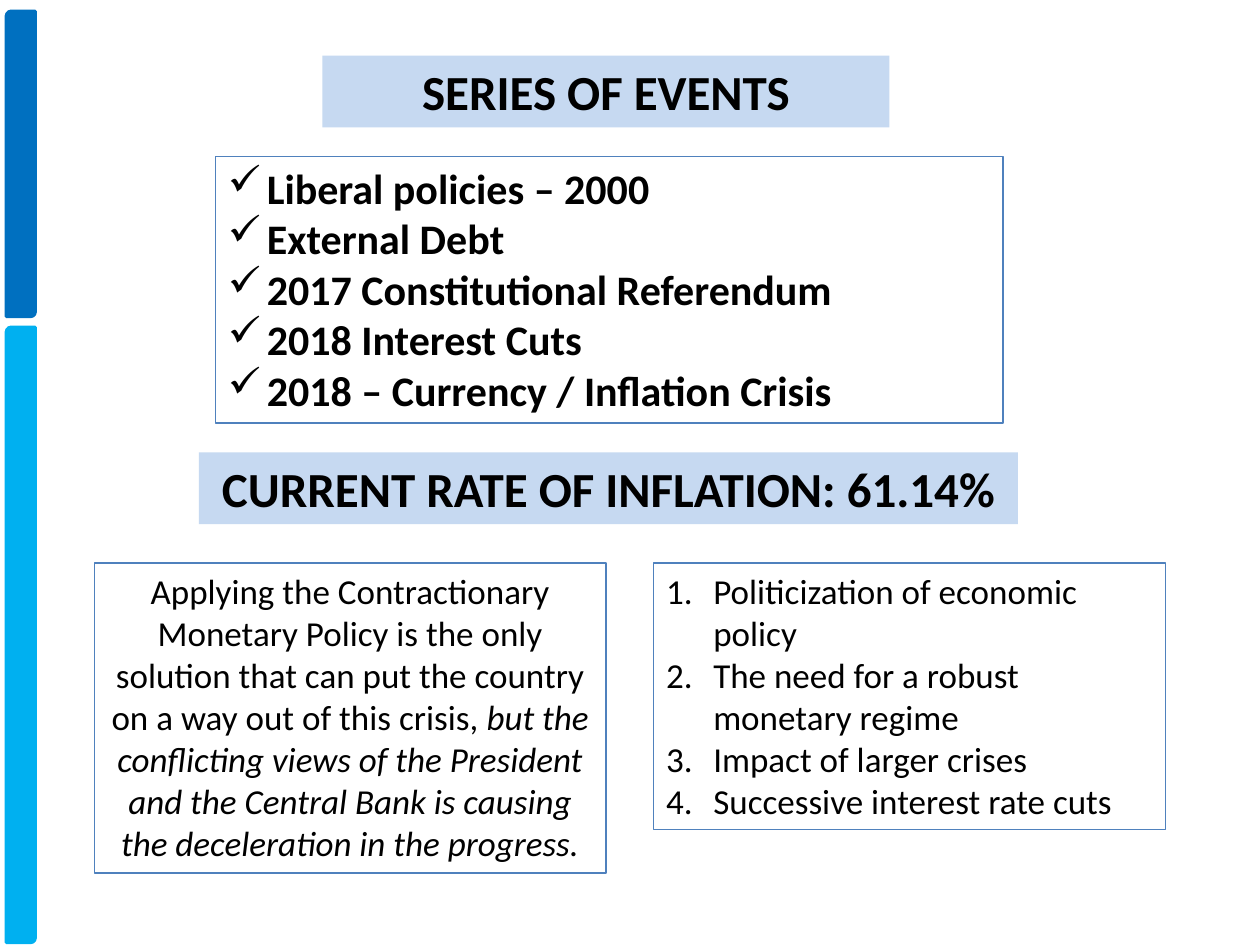
from dataclasses import dataclass
from typing import Optional

from lxml.etree import SubElement
from pptx import Presentation
from pptx.dml.color import RGBColor
from pptx.enum.shapes import MSO_SHAPE as Preset
from pptx.enum.text import MSO_ANCHOR as Anchor, MSO_AUTO_SIZE as AutoSize, PP_ALIGN as Align
from pptx.oxml.ns import qn
from pptx.util import Cm, Pt


@dataclass(frozen=True)
class Theme:
    font: str = "Calibri"
    text: RGBColor = RGBColor(0, 0, 0)
    heading_fill: RGBColor = RGBColor(0xC6, 0xD9, 0xF1)
    border: RGBColor = RGBColor(0x4F, 0x81, 0xBD)
    dark_bar: RGBColor = RGBColor(0x00, 0x70, 0xC0)
    light_bar: RGBColor = RGBColor(0x00, 0xB0, 0xF0)
    heading_size: Pt = Pt(28)
    event_size: Pt = Pt(24)
    body_size: Pt = Pt(20)
    border_width: Pt = Pt(0.75)
    bar_width: Pt = Pt(2)


@dataclass(frozen=True)
class Marker:
    tag: str
    attributes: dict[str, str]
    font: str
    indent: Cm


@dataclass(frozen=True)
class Bar:
    top: float
    height: float
    color: RGBColor


@dataclass(frozen=True)
class Panel:
    left: float
    top: float
    width: float
    height: float
    paragraphs: list[list[str]]
    size: Pt
    bold: bool = False
    filled: bool = False
    align: Align = Align.LEFT
    marker: Optional[Marker] = None


THEME = Theme()
CHECK = Marker("a:buChar", {"char": "ü"}, "Wingdings", Cm(0.79))
NUMBER = Marker("a:buAutoNum", {"type": "arabicPeriod"}, "+mj-lt", Cm(0.95))

BARS = [Bar(0.23, 6.15, THEME.dark_bar), Bar(6.6, 12.4, THEME.light_bar)]

EVENTS = [
    "Liberal policies – 2000",
    "External Debt",
    "2017 Constitutional Referendum",
    "2018 Interest Cuts",
    "2018 – Currency / Inflation Crisis",
]
LESSONS = [
    "Politicization of economic policy",
    "The need for a robust monetary regime",
    "Impact of larger crises",
    "Successive interest rate cuts",
]
SOLUTION = [
    "Applying the Contractionary Monetary Policy is the only solution that can put "
    "the country on a way out of this crisis, ",
    "but the conflicting views of the President and the Central Bank is causing "
    "the deceleration in the progress.",
]


def heading(left: float, top: float, width: float, text: str) -> Panel:
    return Panel(left, top, width, 1.45, [[text]], THEME.heading_size,
                 bold=True, filled=True, align=Align.CENTER)


PANELS = [
    Panel(4.34, 3.15, 15.88, 5.38, [[event] for event in EVENTS],
          THEME.event_size, bold=True, marker=CHECK),
    heading(6.5, 1.12, 11.43, "SERIES OF EVENTS"),
    heading(4.01, 9.12, 16.51, "CURRENT RATE OF INFLATION: 61.14%"),
    Panel(1.9, 11.35, 10.32, 6.25, [SOLUTION], THEME.body_size, align=Align.CENTER),
    Panel(13.18, 11.35, 10.32, 5.38, [[lesson] for lesson in LESSONS],
          THEME.body_size, marker=NUMBER),
]


def draw_bar(slide, bar: Bar) -> None:
    shape = slide.shapes.add_shape(
        Preset.ROUND_2_DIAG_RECTANGLE, Cm(0.13), Cm(bar.top), Cm(0.58), Cm(bar.height))
    shape.shadow.inherit = False
    shape.fill.solid()
    shape.fill.fore_color.rgb = bar.color
    shape.line.color.rgb = bar.color
    shape.line.width = THEME.bar_width


def add_marker(paragraph, marker: Marker) -> None:
    properties = paragraph._p.get_or_add_pPr()
    properties.set("marL", str(marker.indent))
    properties.set("indent", str(-marker.indent))
    SubElement(properties, qn("a:buFont"), typeface=marker.font)
    SubElement(properties, qn(marker.tag), marker.attributes)


def draw_panel(slide, panel: Panel) -> None:
    shape = slide.shapes.add_shape(
        Preset.RECTANGLE, Cm(panel.left), Cm(panel.top), Cm(panel.width), Cm(panel.height))
    shape.shadow.inherit = False
    if panel.filled:
        shape.fill.solid()
        shape.fill.fore_color.rgb = THEME.heading_fill
        shape.line.fill.background()
    else:
        shape.fill.background()
        shape.line.color.rgb = THEME.border
        shape.line.width = THEME.border_width

    frame = shape.text_frame
    frame.word_wrap = True
    frame.auto_size = AutoSize.SHAPE_TO_FIT_TEXT
    frame.vertical_anchor = Anchor.TOP
    frame.text = "\n".join(parts[0] for parts in panel.paragraphs)
    for paragraph, parts in zip(frame.paragraphs, panel.paragraphs):
        paragraph.alignment = panel.align
        if panel.marker:
            add_marker(paragraph, panel.marker)
        for emphasis in parts[1:]:
            run = paragraph.add_run()
            run.text = emphasis
            run.font.italic = True
        for run in paragraph.runs:
            run.font.name = THEME.font
            run.font.size = panel.size
            run.font.bold = panel.bold
            run.font.color.rgb = THEME.text


def main() -> None:
    presentation = Presentation()
    presentation.slide_width = Cm(25.4)
    presentation.slide_height = Cm(19.05)
    slide = presentation.slides.add_slide(presentation.slide_layouts[6])
    for bar in BARS:
        draw_bar(slide, bar)
    for panel in PANELS:
        draw_panel(slide, panel)
    presentation.save("out.pptx")


main()
